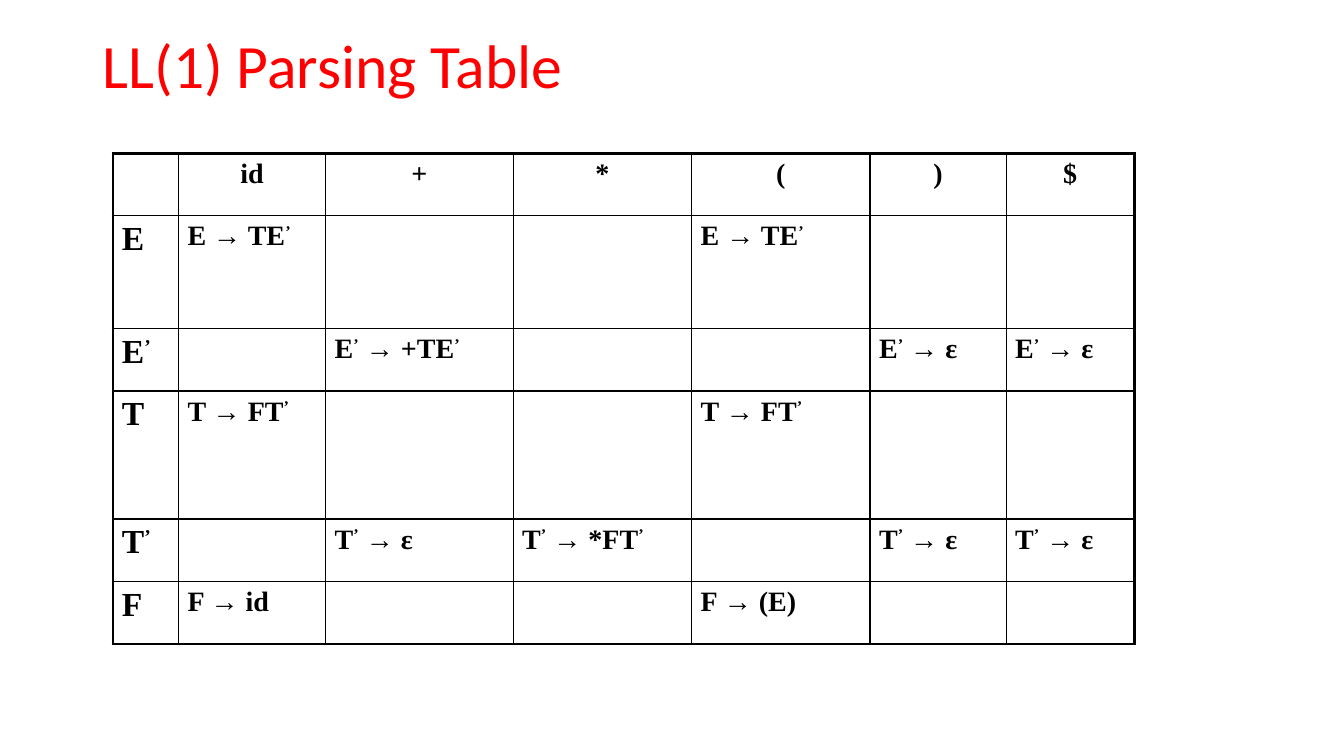
from itertools import groupby

from lxml import etree
from pptx import Presentation
from pptx.dml.color import RGBColor
from pptx.enum.text import MSO_ANCHOR, PP_ALIGN
from pptx.oxml.ns import qn
from pptx.util import Inches, Pt

CENTER, LEFT = PP_ALIGN.CENTER, PP_ALIGN.LEFT
MIDDLE = MSO_ANCHOR.MIDDLE

# Content
TITLE = "LL(1) Parsing Table"
TERMINALS = ["id", "+", "*", "(", ")", "$"]
PRODUCTIONS = {
    "E": {"id": "E → TE’", "(": "E → TE’"},
    "E’": {"+": "E’ → +TE’", ")": "E’ → ε", "$": "E’ → ε"},
    "T": {"id": "T → FT’", "(": "T → FT’"},
    "T’": {"+": "T’ → ε", "*": "T’ → *FT’", ")": "T’ → ε", "$": "T’ → ε"},
    "F": {"id": "F → id", "(": "F → (E)"},
}
COLUMN_WIDTHS = [0.65, 1.46, 1.86, 1.77, 1.77, 1.35, 1.27]
ROW_HEIGHTS = [0.62, 1.12, 0.62, 1.27, 0.62, 0.62]
COLORS = {"title": "FF0000", "ink": "000000"}
PRIME = "’"
OUTER_LINE, INNER_LINE = 2.25, 1


def style_run(run, font, size, color, bold=False):
    run.font.name = font
    run.font.size = Pt(size)
    run.font.bold = bold
    run.font.color.rgb = RGBColor.from_string(COLORS[color])


def write_symbols(cell, symbols, size, align):
    """Write grammar symbols, raising each prime mark."""
    paragraph = cell.text_frame.paragraphs[0]
    paragraph.alignment = align
    for is_prime, letters in groupby(symbols, lambda letter: letter == PRIME):
        run = paragraph.add_run()
        run.text = "".join(letters)
        style_run(run, "Times New Roman", size, "ink", bold=True)
        if is_prime:
            run._r.get_or_add_rPr().set("baseline", "30000")


def draw_borders(cell, outer_sides):
    properties = cell._tc.get_or_add_tcPr()
    for position, side in enumerate("LRTB"):
        width = OUTER_LINE if side in outer_sides else INNER_LINE
        line = etree.Element(qn(f"a:ln{side}"), w=str(int(Pt(width))))
        fill = etree.SubElement(line, qn("a:solidFill"))
        etree.SubElement(fill, qn("a:srgbClr"), val=COLORS["ink"])
        properties.insert(position, line)


prs = Presentation()
prs.slide_width, prs.slide_height = Inches(13.33), Inches(7.5)
slide = prs.slides.add_slide(prs.slide_layouts[6])

# Title
title = slide.shapes.add_textbox(
    Inches(0.92), Inches(0.24), Inches(11.5), Inches(0.88)).text_frame
title.word_wrap = True
title.vertical_anchor = MIDDLE
title.text = TITLE
title.paragraphs[0].line_spacing = 0.9
style_run(title.paragraphs[0].runs[0], "Calibri", 44, "title")

# Parsing table
rows = [[""] + TERMINALS] + [
    [nonterminal] + [rules.get(terminal, "") for terminal in TERMINALS]
    for nonterminal, rules in PRODUCTIONS.items()
]
last_row, last_column = len(rows) - 1, len(TERMINALS)
parsing_table = slide.shapes.add_table(
    len(rows), len(rows[0]), Inches(1.12), Inches(1.52),
    Inches(sum(COLUMN_WIDTHS)), Inches(sum(ROW_HEIGHTS))).table
parsing_table.first_row = False
parsing_table.horz_banding = False
for column, width in zip(parsing_table.columns, COLUMN_WIDTHS):
    column.width = Inches(width)
for row, height in zip(parsing_table.rows, ROW_HEIGHTS):
    row.height = Inches(height)

for r, entries in enumerate(rows):
    for c, symbols in enumerate(entries):
        cell = parsing_table.cell(r, c)
        cell.fill.background()
        cell.margin_left = cell.margin_right = Inches(0.09)
        cell.margin_top = cell.margin_bottom = Inches(0.05)
        write_symbols(cell, symbols, 20 if c else 24, LEFT if r else CENTER)
        edges = {"L": c == 0, "R": c == last_column,
                 "T": r == 0, "B": r == last_row}
        draw_borders(cell, [side for side, outer in edges.items() if outer])

prs.save("out.pptx")
